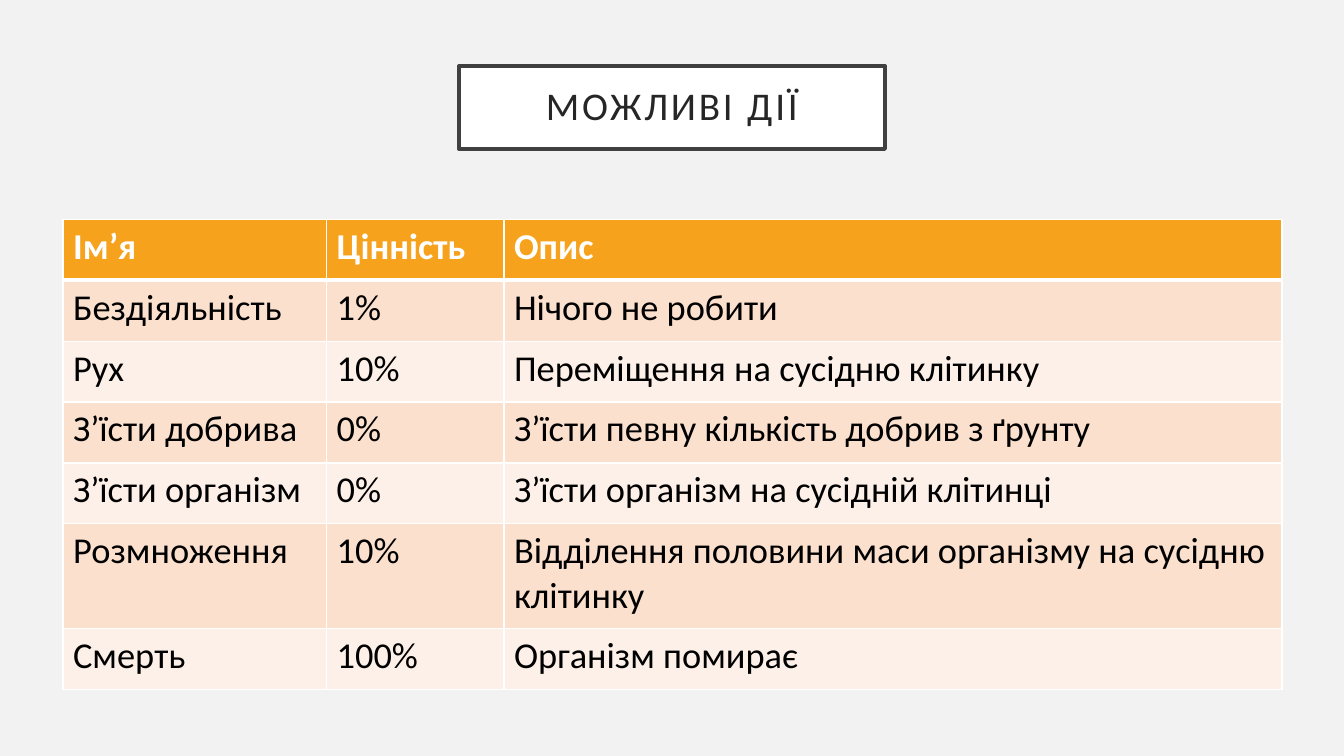
from dataclasses import dataclass

from lxml import etree
from pptx import Presentation
from pptx import util as u
from pptx.dml.color import RGBColor
from pptx.enum import shapes, text
from pptx.oxml import ns
from pptx.slide import Slide
from pptx.table import _Cell

EMU_PER_PX = 9525  # 96 px to the inch
FONT = "Calibri"
COLORS = {
    "background": "F2F2F2",
    "white": "FFFFFF",
    "frame": "404040",
    "title": "262626",
    "header": "F6A21D",
    "odd_row": "FBE0CD",
    "even_row": "FDF0E8",
    "body": "000000",
}
COLUMN_WIDTHS = (251, 169, 741)
ROW_HEIGHT = 58
TWO_LINE_ROW_HEIGHT = 100


@dataclass(frozen=True)
class Action:
    name: str
    value: str
    description: str
    height: int = ROW_HEIGHT


HEADER = Action("Ім’я", "Цінність", "Опис")
ACTIONS = (
    Action("Бездіяльність", "1%", "Нічого не робити"),
    Action("Рух", "10%", "Переміщення на сусідню клітинку"),
    Action("З’їсти добрива", "0%", "З’їсти певну кількість добрив з ґрунту"),
    Action("З’їсти організм", "0%", "З’їсти організм на сусідній клітинці"),
    Action("Розмноження", "10%", "Відділення половини маси організму на сусідню клітинку",
           TWO_LINE_ROW_HEIGHT),
    Action("Смерть", "100%", "Організм помирає"),
)


def px(length: int) -> u.Emu:
    return u.Emu(length * EMU_PER_PX)


def color(name: str) -> RGBColor:
    return RGBColor.from_string(COLORS[name])


def add_title(slide: Slide, title: str) -> None:
    shape = slide.shapes.add_shape(
        shapes.MSO_SHAPE.RECTANGLE, px(437), px(63), px(406), px(79))
    shape.shadow.inherit = False
    shape.fill.solid()
    shape.fill.fore_color.rgb = color("white")
    shape.line.color.rgb = color("frame")
    shape.line.width = u.Pt(2.5)
    frame = shape.text_frame
    frame.word_wrap = True
    frame.vertical_anchor = text.MSO_ANCHOR.MIDDLE
    frame.margin_left = frame.margin_right = px(19)
    frame.margin_top = frame.margin_bottom = px(19)
    paragraph = frame.paragraphs[0]
    paragraph.alignment = text.PP_ALIGN.CENTER
    paragraph.line_spacing = 0.9
    run = paragraph.add_run()
    run.text = title
    run.font.name = FONT
    run.font.size = u.Pt(28)
    run.font.color.rgb = color("title")
    run.font._element.set("spc", "200")


def set_borders(cell: _Cell, top: int, bottom: int) -> None:
    """Draw white borders; top and bottom widths are in points."""
    properties = cell._tc.get_or_add_tcPr()
    for side, width in (("L", 1), ("R", 1), ("T", top), ("B", bottom)):
        line = etree.SubElement(properties, ns.qn(f"a:ln{side}"), w=str(u.Pt(width)))
        fill = etree.SubElement(line, ns.qn("a:solidFill"))
        etree.SubElement(fill, ns.qn("a:srgbClr"), val=COLORS["white"])


def fill_cell(cell: _Cell, content: str, row_index: int) -> None:
    is_header = row_index == 0
    set_borders(cell, top=3 if row_index == 1 else 1, bottom=3 if is_header else 1)
    cell.fill.solid()
    band = "odd_row" if row_index % 2 else "even_row"
    cell.fill.fore_color.rgb = color("header" if is_header else band)
    cell.text = content
    font = cell.text_frame.paragraphs[0].font
    font.name = FONT
    font.size = u.Pt(26)
    font.bold = is_header
    font.color.rgb = color("white" if is_header else "body")


def add_actions_table(slide: Slide) -> None:
    rows = (HEADER, *ACTIONS)
    table = slide.shapes.add_table(
        len(rows), len(COLUMN_WIDTHS), px(60), px(209),
        px(sum(COLUMN_WIDTHS)), px(sum(row.height for row in rows))).table
    table.horz_banding = False
    for column, width in zip(table.columns, COLUMN_WIDTHS):
        column.width = px(width)
    for row_index, action in enumerate(rows):
        table.rows[row_index].height = px(action.height)
        contents = (action.name, action.value, action.description)
        for column_index, content in enumerate(contents):
            fill_cell(table.cell(row_index, column_index), content, row_index)


def main() -> None:
    presentation = Presentation()
    presentation.slide_width = px(1280)
    presentation.slide_height = px(720)
    slide = presentation.slides.add_slide(presentation.slide_layouts[6])
    slide.background.fill.solid()
    slide.background.fill.fore_color.rgb = color("background")
    add_title(slide, "МОЖЛИВІ ДІЇ")
    add_actions_table(slide)
    presentation.save("out.pptx")


if __name__ == "__main__":
    main()
